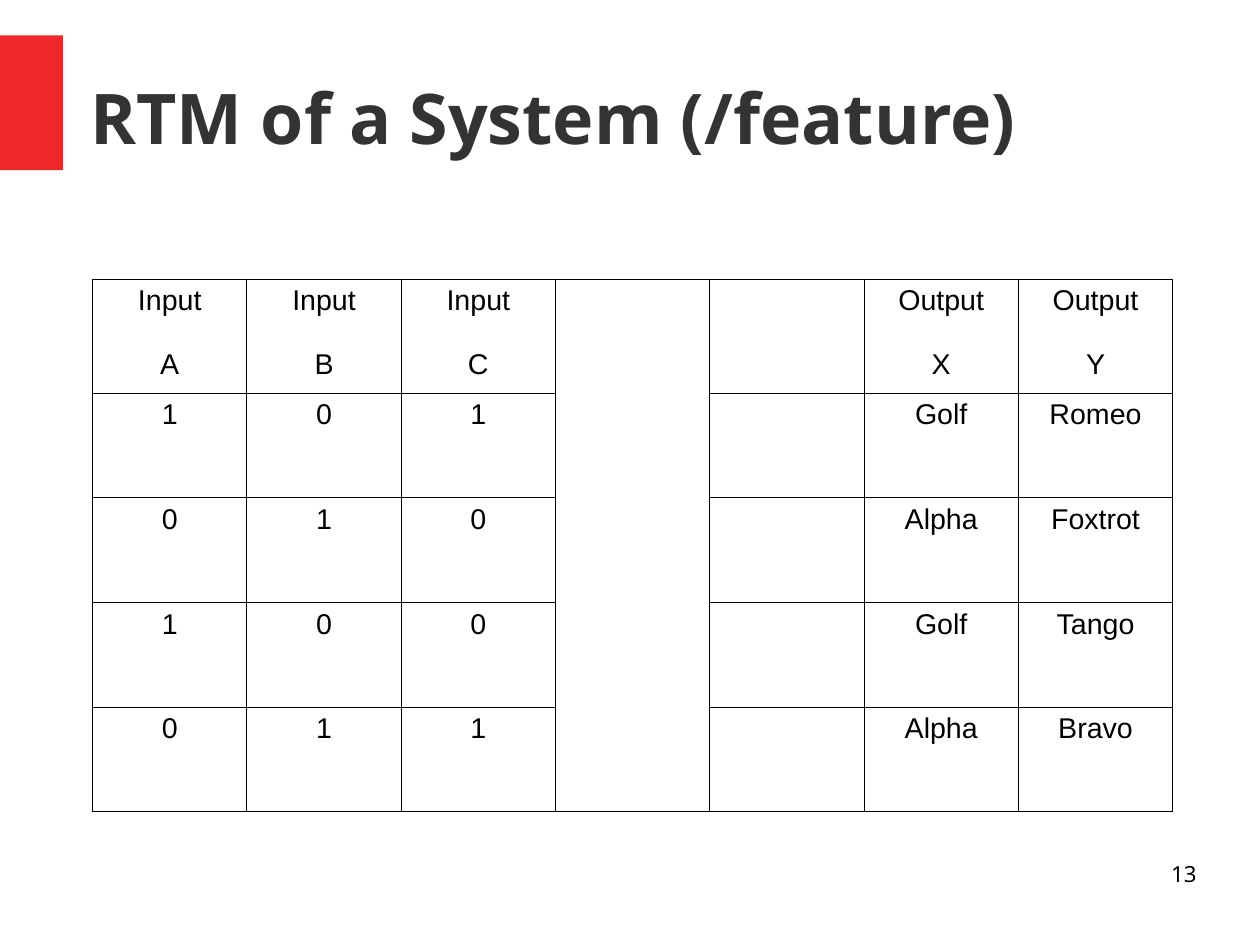
import pptx
import pptx.util
import pptx.dml.color
import pptx.enum.shapes
import pptx.enum.text
import pptx.oxml
from dataclasses import dataclass
from pptx.util import Inches

ALIGN = pptx.enum.text.PP_ALIGN
ANCHOR = pptx.enum.text.MSO_ANCHOR


@dataclass(frozen=True)
class Theme:
    accent: str = "EF2929"
    heading: str = "333333"
    ink: str = "000000"
    heading_font: str = "Noto Sans"
    table_font: str = "Arial"
    title_size: int = 44
    table_size: int = 18
    number_size: int = 14
    border: float = 0.57


theme = Theme()


def write(frame, text, size, font, color=theme.ink, bold=False,
          align=ALIGN.LEFT, gap=0):
    """Write one paragraph per line of text, with gap points between them."""
    for index, line in enumerate(text.split("\n")):
        para = frame.paragraphs[0] if index == 0 else frame.add_paragraph()
        para.alignment = align
        if index:
            para.space_before = pptx.util.Pt(gap)
        span = para.add_run()
        span.text = line
        span.font.size = pptx.util.Pt(size)
        span.font.name = font
        span.font.bold = bold
        span.font.color.rgb = pptx.dml.color.RGBColor.from_string(color)


def add_borders(cell):
    """Draw a thin line on all four sides of a table cell."""
    properties = cell._tc.get_or_add_tcPr()
    width = int(pptx.util.Pt(theme.border))
    for side in ("lnL", "lnR", "lnT", "lnB"):
        properties.append(pptx.oxml.parse_xml(
            f'<a:{side} xmlns:a="http://schemas.openxmlformats.org/drawingml/2006/main" '
            f'w="{width}"><a:solidFill><a:srgbClr val="{theme.ink}"/>'
            f'</a:solidFill></a:{side}>'))


# Page of 28 by 21 centimetres
deck = pptx.Presentation()
deck.slide_width = Inches(28 / 2.54)
deck.slide_height = Inches(21 / 2.54)
page = deck.slides.add_slide(deck.slide_layouts[5])

# Red tab at the left edge
tab = page.shapes.add_shape(pptx.enum.shapes.MSO_SHAPE.RECTANGLE,
                            Inches(0), Inches(0.31), Inches(0.55), Inches(1.18))
tab.shadow.inherit = False
tab.fill.solid()
tab.fill.fore_color.rgb = pptx.dml.color.RGBColor.from_string(theme.accent)
tab.line.fill.background()

# Title
title = page.shapes.title
title.left, title.top = Inches(0.79), Inches(0.33)
title.width, title.height = Inches(9.68), Inches(1.38)
write(title.text_frame, "RTM of a System (/feature)", size=theme.title_size,
      font=theme.heading_font, color=theme.heading, bold=True)

# Traceability table: inputs, a merged gap column, a blank column, outputs
rows = [
    ["Input\nA", "Input\nB", "Input\nC", "", "", "Output\nX", "Output\nY"],
    ["1", "0", "1", "", "", "Golf", "Romeo"],
    ["0", "1", "0", "", "", "Alpha", "Foxtrot"],
    ["1", "0", "0", "", "", "Golf", "Tango"],
    ["0", "1", "1", "", "", "Alpha", "Bravo"],
]
gap_column = 3
table_height, header_height = 4.66, 1
row_height = (table_height - header_height) / (len(rows) - 1)
table = page.shapes.add_table(len(rows), len(rows[0]), Inches(0.81), Inches(2.44),
                              Inches(9.45), Inches(table_height)).table
table.first_row = False
table.horz_banding = False
for column in table.columns:
    column.width = Inches(1.35)
for index, values in enumerate(rows):
    table.rows[index].height = Inches(row_height if index else header_height)
    for position, text in enumerate(values):
        cell = table.cell(index, position)
        add_borders(cell)
        cell.fill.background()
        if text:
            write(cell.text_frame, text, size=theme.table_size,
                  font=theme.table_font, align=ALIGN.CENTER, gap=20)
table.cell(0, gap_column).merge(table.cell(len(rows) - 1, gap_column))

# Page number
number = page.shapes.add_textbox(Inches(7.9), Inches(7.53), Inches(2.57), Inches(0.57))
write(number.text_frame, "13", size=theme.number_size,
      font=theme.heading_font, align=ALIGN.RIGHT)

# Frames without insets
for box, anchor in ((title, ANCHOR.MIDDLE), (number, ANCHOR.TOP)):
    frame = box.text_frame
    frame.word_wrap = True
    frame.vertical_anchor = anchor
    frame.margin_left = frame.margin_right = Inches(0)
    frame.margin_top = frame.margin_bottom = Inches(0)

deck.save("out.pptx")
